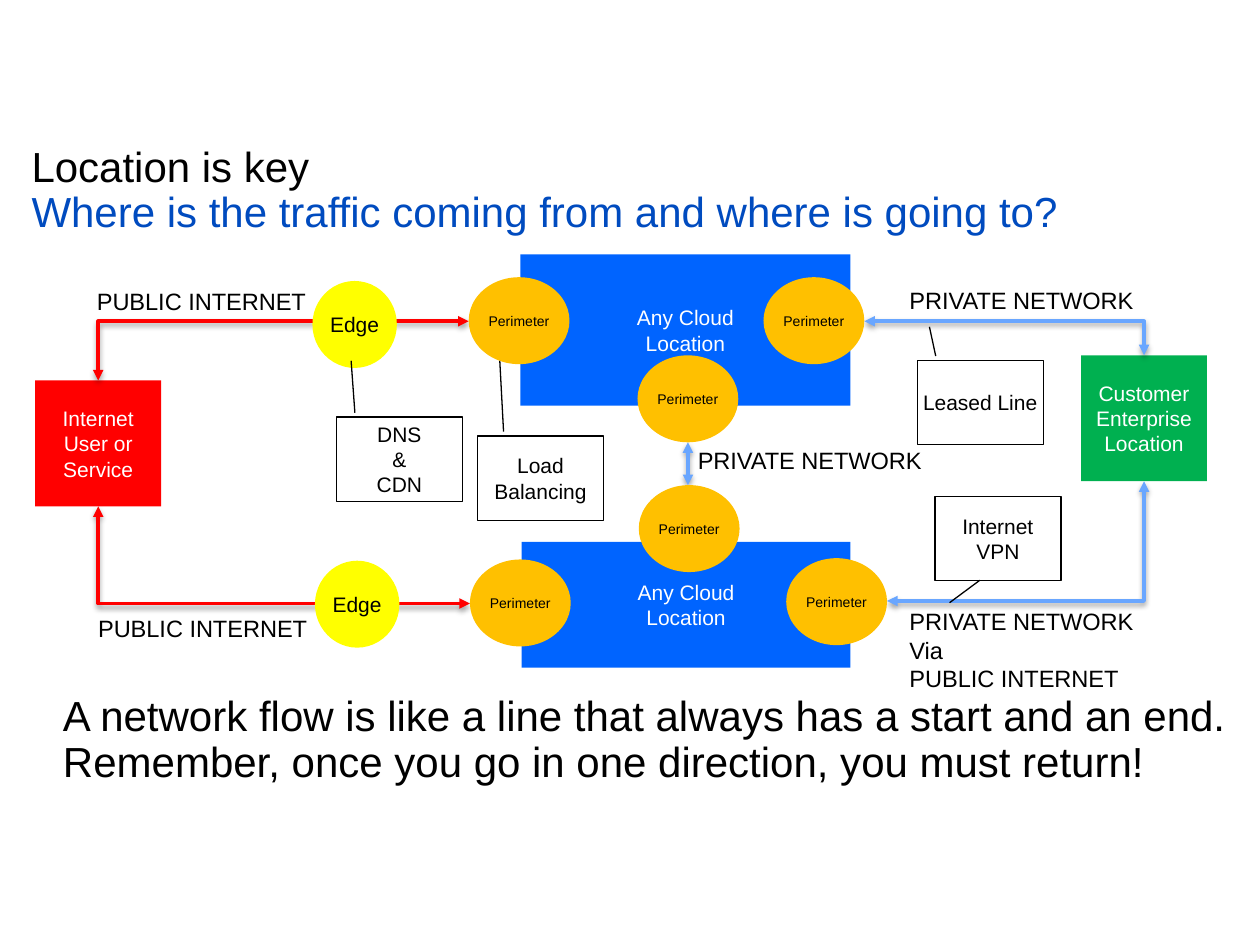
from lxml.etree import SubElement
from pptx import Presentation
from pptx.dml.color import RGBColor
from pptx.enum.shapes import MSO_CONNECTOR as Link, MSO_SHAPE as Shape
from pptx.enum.text import MSO_ANCHOR as Anchor, MSO_AUTO_SIZE as Fit, PP_ALIGN as Align
from pptx.oxml.ns import qn
from pptx.util import Inches, Pt

BLACK = RGBColor(0x00, 0x00, 0x00)
WHITE = RGBColor(0xFF, 0xFF, 0xFF)
RED = RGBColor(0xFF, 0x00, 0x00)
BLUE = RGBColor(0x00, 0x64, 0xFF)
SKY = RGBColor(0x69, 0xA6, 0xFF)
NAVY = RGBColor(0x00, 0x4B, 0xBF)
GREEN = RGBColor(0x00, 0xB0, 0x50)
YELLOW = RGBColor(0xFF, 0xFF, 0x00)
AMBER = RGBColor(0xFF, 0xC0, 0x00)

USER = ["Internet", "User or", "Service"]
CLOUD = ["Any Cloud", "Location"]
CLIENT = ["Customer", "Enterprise", "Location"]


def add_run(para, text, size, color):
    run = para.add_run()
    run.text = text
    run.font.name = "Arial"
    run.font.size = Pt(size)
    run.font.color.rgb = color


def fill_text(frame, lines, size, color, align=Align.LEFT):
    for i, line in enumerate(lines):
        para = frame.add_paragraph() if i else frame.paragraphs[0]
        para.alignment = align
        add_run(para, line, size, color)


def set_frame(frame, anchor):
    """Drop the insets and fix the size of a text frame."""
    frame.word_wrap = True
    frame.auto_size = Fit.NONE
    frame.vertical_anchor = anchor
    frame.margin_left = frame.margin_right = 0
    frame.margin_top = frame.margin_bottom = 0


def add_node(slide, kind, box, fill, lines, size=12, color=BLACK):
    node = slide.shapes.add_shape(kind, *map(Inches, box))
    node.shadow.inherit = False
    node.line.fill.background()
    if fill is None:
        node.fill.background()
    else:
        node.fill.solid()
        node.fill.fore_color.rgb = fill
    set_frame(node.text_frame, Anchor.MIDDLE)
    fill_text(node.text_frame, lines, size, color, Align.CENTER)
    return node


def add_note(slide, left, top, lines, points):
    """Add a callout; points holds its line's y, x, y, x as shares of the box."""
    note = add_node(slide, Shape.LINE_CALLOUT_1, (left, top, 1, 0.67), None, lines)
    note.line.color.rgb = BLACK
    note.line.width = Pt(0.75)
    for i, value in enumerate(points):
        note.adjustments[i] = value


def add_flow(slide, kind, start, end, color):
    """Add a two-way arrow; an elbow runs level first, then upright."""
    flow = slide.shapes.add_connector(kind, *map(Inches, start + end))
    flow.line.color.rgb = color
    flow.line.width = Pt(2)
    props = flow._element.spPr
    if kind == Link.ELBOW:
        props.find(qn("a:prstGeom")).set("prst", "bentConnector2")
    line = flow.line._get_or_add_ln()
    for tag in ("a:headEnd", "a:tailEnd"):
        SubElement(line, qn(tag), type="triangle")
    effects = SubElement(props, qn("a:effectLst"))
    shade = SubElement(effects, qn("a:outerShdw"), blurRad="40000",
                       dist="20000", dir="5400000", rotWithShape="0")
    tint = SubElement(shade, qn("a:srgbClr"), val="000000")
    SubElement(tint, qn("a:alpha"), val="38000")


def add_label(slide, left, top, width, lines, height=0.33):
    label = slide.shapes.add_textbox(*map(Inches, (left, top, width, height)))
    label.text_frame.word_wrap = False
    label.text_frame.auto_size = Fit.SHAPE_TO_FIT_TEXT
    fill_text(label.text_frame, lines, 13.5, BLACK)


def add_title(slide):
    title = slide.shapes.title
    title.left, title.top = Inches(0.25), Inches(1.16)
    title.width, title.height = Inches(9.5), Inches(0.94)
    set_frame(title.text_frame, Anchor.TOP)
    para = title.text_frame.paragraphs[0]
    para.alignment = Align.LEFT
    para.line_spacing = 0.9
    add_run(para, "Location is key", 24, BLACK)
    para.add_line_break()
    add_run(para, "Where is the traffic coming from and where is going to?", 24, NAVY)


def add_moral(slide):
    moral = slide.shapes.add_textbox(*map(Inches, (0.5, 5.52, 9.5, 0.63)))
    set_frame(moral.text_frame, Anchor.TOP)
    fill_text(moral.text_frame, [
        "A network flow is like a line that always has a start and an end. "
        "Remember, once you go in one direction, you must return!"], 24, BLACK)
    moral.text_frame.paragraphs[0].line_spacing = 0.9


def main():
    deck = Presentation()
    deck.slide_width, deck.slide_height = Inches(10), Inches(7.5)
    slide = deck.slides.add_slide(deck.slide_layouts[5])
    add_title(slide)

    for box, fill, lines in (
        ((0.28, 3.02, 1, 1), RED, USER),
        ((4.13, 2.02, 2.62, 1.2), BLUE, CLOUD),
        ((4.14, 4.3, 2.61, 1), BLUE, CLOUD),
        ((8.58, 2.82, 1, 1), GREEN, CLIENT),
    ):
        add_node(slide, Shape.RECTANGLE, box, fill, lines, color=WHITE)

    for start, end, color in (
        ((3.72, 2.55), (0.78, 3.02), RED),
        ((3.73, 4.79), (0.78, 4.02), RED),
        ((6.86, 2.55), (9.08, 2.82), SKY),
        ((7.04, 4.77), (9.08, 3.82), SKY),
    ):
        add_flow(slide, Link.ELBOW, start, end, color)
    add_flow(slide, Link.STRAIGHT, (5.46, 3.85), (5.46, 3.51), SKY)

    for left, top in ((2.48, 2.23), (2.5, 4.45)):
        add_node(slide, Shape.OVAL, (left, top, 0.67, 0.69), YELLOW, ["Edge"])
    add_moral(slide)
    for left, top in ((3.72, 2.2), (6.06, 2.2), (3.73, 4.44),
                      (5.06, 2.82), (5.07, 3.85), (6.24, 4.43)):
        add_node(slide, Shape.OVAL, (left, top, 0.8, 0.69), AMBER, ["Perimeter"], 8)

    add_note(slide, 2.67, 3.31, ["DNS", "&", "CDN"], (-0.051, 0.147, -0.666, 0.117))
    add_note(slide, 7.28, 2.86, ["Leased Line"], (-0.051, 0.147, -0.397, 0.097))
    add_note(slide, 7.42, 3.94, ["Internet", "VPN"], (0.993, 0.357, 1.259, 0.117))
    add_note(slide, 3.79, 3.46, ["Load", "Balancing"], (-0.051, 0.207, -0.89, 0.177))

    public, private = "PUBLIC INTERNET", "PRIVATE NETWORK"
    add_label(slide, 0.67, 2.23, 1.88, [public])
    add_label(slide, 7.12, 2.22, 2, [private])
    add_label(slide, 0.68, 4.82, 1.88, [public])
    add_label(slide, 7.12, 4.77, 2, [private, "Via", public], 0.78)
    add_label(slide, 5.44, 3.49, 2, [private])
    deck.save("out.pptx")


if __name__ == "__main__":
    main()
